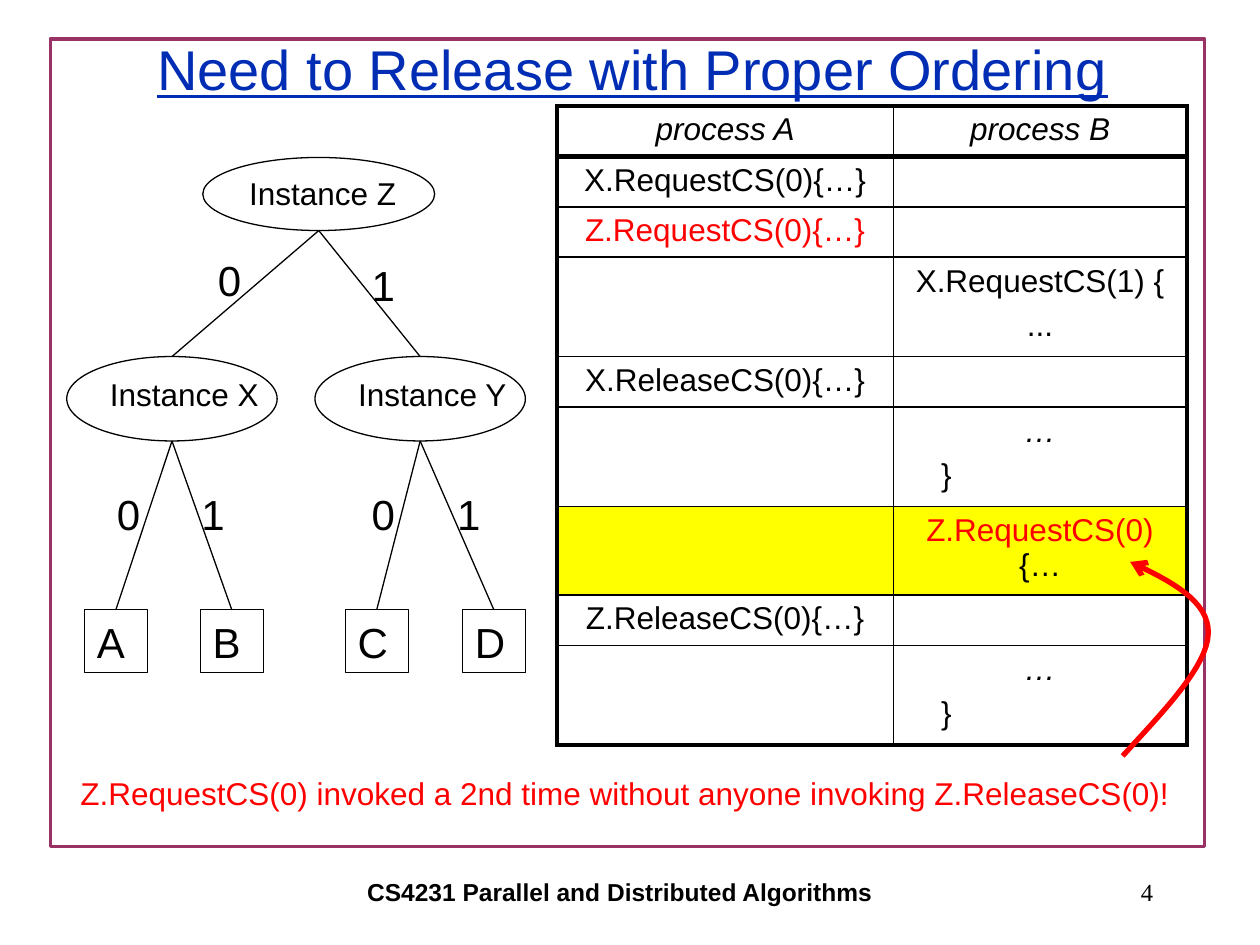
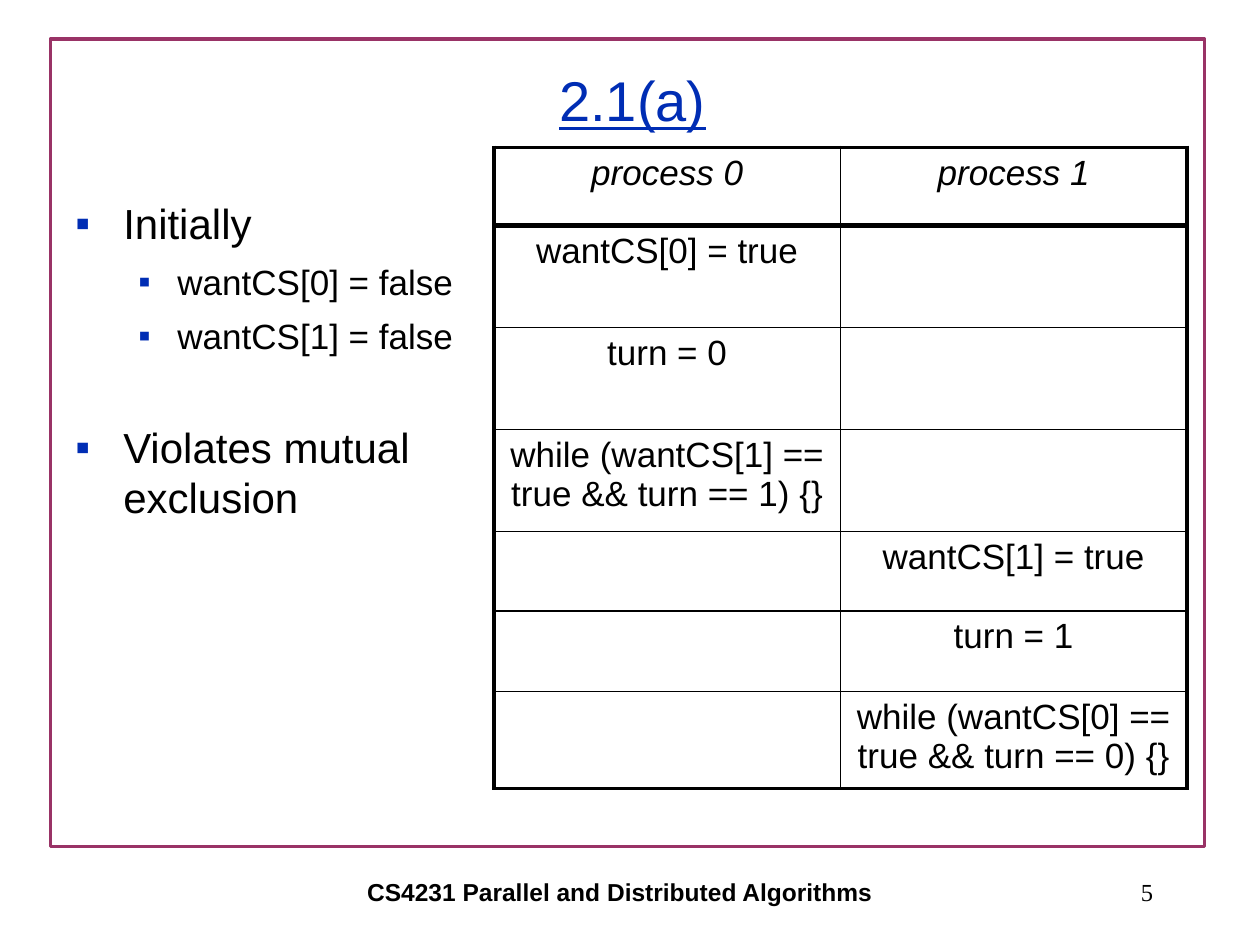
from lxml.etree import SubElement
from pptx import Presentation
from pptx.dml.color import RGBColor
from pptx.enum.shapes import MSO_CONNECTOR, MSO_SHAPE
from pptx.enum.text import MSO_ANCHOR as Anchor, PP_ALIGN as Align
from pptx.oxml.ns import qn
from pptx.util import Inches, Pt

BLACK = RGBColor(0x00, 0x00, 0x00)
BLUE = RGBColor(0x00, 0x2D, 0xB4)
PLUM = RGBColor(0x99, 0x33, 0x66)
RED = RGBColor(0xFF, 0x00, 0x00)
YELLOW = RGBColor(0xFF, 0xFF, 0x00)

FOOTER = "CS4231 Parallel and Distributed Algorithms"
BRACE_INDENT = 0.28
THIN, OUTER, HEADER = 1, 2.25, 3

RELEASE_TITLE = "Need to Release with Proper Ordering"
WARNING = "Z.RequestCS(0) invoked a 2nd time without anyone invoking Z.ReleaseCS(0)!"
WARNING_ARROW = [
    ((8.91, 6), (9.24, 5.64), (9.58, 5.29), (9.59, 5.03)),
    ((9.59, 5.03), (9.6, 4.77), (9.29, 4.61), (8.97, 4.46)),
]
INSTANCES = {
    "Z": (1.61, 1.25, 1.84, 0.58),
    "X": (0.53, 2.83, 1.67, 0.67),
    "Y": (2.5, 2.83, 1.67, 0.67),
}
PROCESS_LEFTS = {"A": 0.67, "B": 1.59, "C": 2.74, "D": 3.67}
PROCESS_TOP, PROCESS_SIZE = 4.84, 0.5
BRANCHES = [
    ("Z", "X", "0", 1.63, 1.97),
    ("Z", "Y", "1", 2.85, 2.01),
    ("X", "A", "0", 0.83, 3.83),
    ("X", "B", "1", 1.5, 3.83),
    ("Y", "C", "0", 2.85, 3.83),
    ("Y", "D", "1", 3.53, 3.83),
]

# fmt: off
RELEASE_ROWS = [
    (0.4, ["process A"], ["process B"]),
    (0.4, ["X.RequestCS(0){…}"], []),
    (0.4, [[("Z.RequestCS(0){…}", RED)]], []),
    (0.79, [], ["X.RequestCS(1) {", "..."]),
    (0.4, ["X.ReleaseCS(0){…}"], []),
    (0.79, [], ["…", "}"]),
    (0.7, [], [[("Z.RequestCS(0)", RED), ("{…", BLACK)]]),
    (0.4, ["Z.ReleaseCS(0){…}"], []),
    (0.79, [], ["…", "}"]),
]
REPEATED_REQUEST_ROW = 6

EXCLUSION_TITLE = "2.1(a)"
EXCLUSION_POINTS = [
    ("Initially", 0, 0),
    ("wantCS[0] = false", 1, 7),
    ("wantCS[1] = false", 1, 7),
    ("Violates mutual exclusion", 0, 37),
]
POINT_LEVELS = [(24, 0.38, -0.38), (20, 0.81, -0.31)]
EXCLUSION_ROWS = [
    (0.62, ["process 0"], ["process 1"]),
    (0.81, ["wantCS[0] = true"], []),
    (0.81, ["turn = 0"], []),
    (0.81, ["while (wantCS[1] == true && turn == 1) {}"], []),
    (0.63, [], ["wantCS[1] = true"]),
    (0.64, [], ["turn = 1"]),
    (0.77, [], ["while (wantCS[0] == true && turn == 0) {}"]),
]


def add_run(paragraph, text, size, color=BLACK, font="Arial", **styles):
    run = paragraph.add_run()
    run.text = text
    run.font.name = font
    run.font.size = Pt(size)
    run.font.color.rgb = color
    for style, value in styles.items():
        setattr(run.font, style, value)


def add_text(slide, box, text, size, align=Align.LEFT, anchor=Anchor.TOP,
             wrap=True, **run_styles):
    frame = slide.shapes.add_textbox(*map(Inches, box)).text_frame
    frame.word_wrap = wrap
    frame.vertical_anchor = anchor
    paragraph = frame.paragraphs[0]
    paragraph.alignment = align
    add_run(paragraph, text, size, **run_styles)


def add_outline(slide, kind, box, color, width):
    shape = slide.shapes.add_shape(kind, *map(Inches, box))
    shape.shadow.inherit = False
    shape.fill.background()
    shape.line.color.rgb = color
    shape.line.width = Pt(width)
    return shape


def add_node(slide, kind, box, text, size):
    shape = add_outline(slide, kind, box, BLACK, 0.75)
    frame = shape.text_frame
    frame.word_wrap = False
    frame.vertical_anchor = Anchor.TOP
    frame.paragraphs[0].alignment = Align.LEFT
    add_run(frame.paragraphs[0], text, size)
    return shape


def start_slide(presentation, title, title_top, number):
    slide = presentation.slides.add_slide(presentation.slide_layouts[6])
    add_outline(slide, MSO_SHAPE.RECTANGLE, (0.4, 0.31, 9.16, 6.41), PLUM, 2)
    add_text(slide, (0.77, title_top, 8.5, 0.92), title, 32, Align.CENTER,
             Anchor.MIDDLE, color=BLUE, underline=True)
    add_text(slide, (1.42, 6.83, 7, 0.5), FOOTER, 14, Align.CENTER,
             Anchor.MIDDLE, bold=True)
    add_text(slide, (7.17, 6.83, 2.08, 0.5), str(number), 14, Align.RIGHT,
             Anchor.MIDDLE, font="Times New Roman")
    return slide


def set_borders(cell, widths):
    properties = cell._tc.get_or_add_tcPr()
    for position, (side, width) in enumerate(widths.items()):
        line = SubElement(properties, qn(f"a:ln{side}"), w=str(Pt(width)))
        fill = SubElement(line, qn("a:solidFill"))
        SubElement(fill, qn("a:srgbClr"), val=str(BLACK))
        properties.insert(position, line)


def fill_cell(cell, lines, size, header):
    for index, line in enumerate(lines):
        frame = cell.text_frame
        paragraph = frame.add_paragraph() if index else frame.paragraphs[0]
        paragraph.alignment = Align.CENTER
        if index:
            paragraph.space_before = Pt(0.3 * size)
        if line == "}":
            paragraph.alignment = Align.LEFT
            paragraph._p.get_or_add_pPr().set("marL", str(Inches(BRACE_INDENT)))
        runs = [(line, BLACK)] if isinstance(line, str) else line
        for text, color in runs:
            add_run(paragraph, text, size, color, italic=header or text == "…")


def add_trace(slide, left, top, widths, rows, size, highlighted=None):
    height = sum(row[0] for row in rows)
    table = slide.shapes.add_table(
        len(rows), len(widths), Inches(left), Inches(top),
        Inches(sum(widths)), Inches(height)).table
    table.first_row = table.horz_banding = False
    for column, width in zip(table.columns, widths):
        column.width = Inches(width)
    last_row, last_column = len(rows) - 1, len(widths) - 1
    for r, (row_height, *cells) in enumerate(rows):
        table.rows[r].height = Inches(row_height)
        for c, lines in enumerate(cells):
            cell = table.cell(r, c)
            if r == highlighted:
                cell.fill.solid()
                cell.fill.fore_color.rgb = YELLOW
            else:
                cell.fill.background()
            set_borders(cell, {
                "L": OUTER if c == 0 else THIN,
                "R": OUTER if c == last_column else THIN,
                "T": {0: OUTER, 1: HEADER}.get(r, THIN),
                "B": {0: HEADER, last_row: OUTER}.get(r, THIN),
            })
            fill_cell(cell, lines, size, header=r == 0)


def add_tree(slide):
    nodes = {}
    for name, box in INSTANCES.items():
        nodes[name] = add_node(slide, MSO_SHAPE.OVAL, box, f"Instance {name}", 18)
    for name, left in PROCESS_LEFTS.items():
        box = (left, PROCESS_TOP, PROCESS_SIZE, PROCESS_SIZE)
        nodes[name] = add_node(slide, MSO_SHAPE.RECTANGLE, box, name, 24)
    for parent, child, bit, left, top in BRANCHES:
        upper, lower = nodes[parent], nodes[child]
        branch = slide.shapes.add_connector(
            MSO_CONNECTOR.STRAIGHT,
            upper.left + upper.width // 2, upper.top + upper.height,
            lower.left + lower.width // 2, lower.top)
        branch.end_connect(lower, 0)
        branch.line.color.rgb = BLACK
        branch.line.width = Pt(0.75)
        SubElement(branch._element.spPr, qn("a:effectLst"))
        add_text(slide, (left, top, 0.39, 0.51), bit, 24, wrap=False)


def curve_points(curve, steps=16):
    for step in range(1, steps + 1):
        t = step / steps
        weights = ((1 - t) ** 3, 3 * t * (1 - t) ** 2, 3 * t * t * (1 - t), t ** 3)
        yield tuple(Inches(sum(w * point[axis] for w, point in zip(weights, curve)))
                    for axis in (0, 1))


def add_curved_arrow(slide, curves):
    builder = slide.shapes.build_freeform(*map(Inches, curves[0][0]))
    points = [point for curve in curves for point in curve_points(curve)]
    builder.add_line_segments(points, close=False)
    arrow = builder.convert_to_shape()
    arrow.shadow.inherit = False
    arrow.fill.background()
    arrow.line.color.rgb = RED
    arrow.line.width = Pt(3)
    SubElement(arrow.line._get_or_add_ln(), qn("a:tailEnd"), type="arrow")


def add_points(slide, box, points):
    frame = slide.shapes.add_textbox(*map(Inches, box)).text_frame
    frame.word_wrap = True
    for index, (text, level, space) in enumerate(points):
        size, margin, indent = POINT_LEVELS[level]
        paragraph = frame.add_paragraph() if index else frame.paragraphs[0]
        paragraph.level = level
        paragraph.space_before = Pt(space)
        properties = paragraph._p.get_or_add_pPr()
        properties.set("marL", str(Inches(margin)))
        properties.set("indent", str(Inches(indent)))
        color = SubElement(properties, qn("a:buClr"))
        SubElement(color, qn("a:srgbClr"), val=str(BLUE))
        SubElement(properties, qn("a:buFont"), typeface="Arial")
        SubElement(properties, qn("a:buChar"), char="▪")
        add_run(paragraph, text, size)


def build_release_slide(presentation):
    slide = start_slide(presentation, RELEASE_TITLE, 0.08, 4)
    add_trace(slide, 4.42, 0.84, (2.67, 2.33), RELEASE_ROWS, 18, REPEATED_REQUEST_ROW)
    add_tree(slide)
    add_text(slide, (0.54, 6.09, 8.99, 0.4), WARNING, 18, wrap=False, color=RED)
    add_curved_arrow(slide, WARNING_ARROW)


def build_exclusion_slide(presentation):
    slide = start_slide(presentation, EXCLUSION_TITLE, 0.33, 5)
    add_points(slide, (0.5, 1.52, 3.58, 5.08), EXCLUSION_POINTS)
    add_trace(slide, 3.92, 1.17, (2.75, 2.75), EXCLUSION_ROWS, 20)


def main():
    presentation = Presentation()
    presentation.slide_width = Inches(10)
    presentation.slide_height = Inches(7.5)
    build_release_slide(presentation)
    build_exclusion_slide(presentation)
    presentation.save("out.pptx")


if __name__ == "__main__":
    main()
